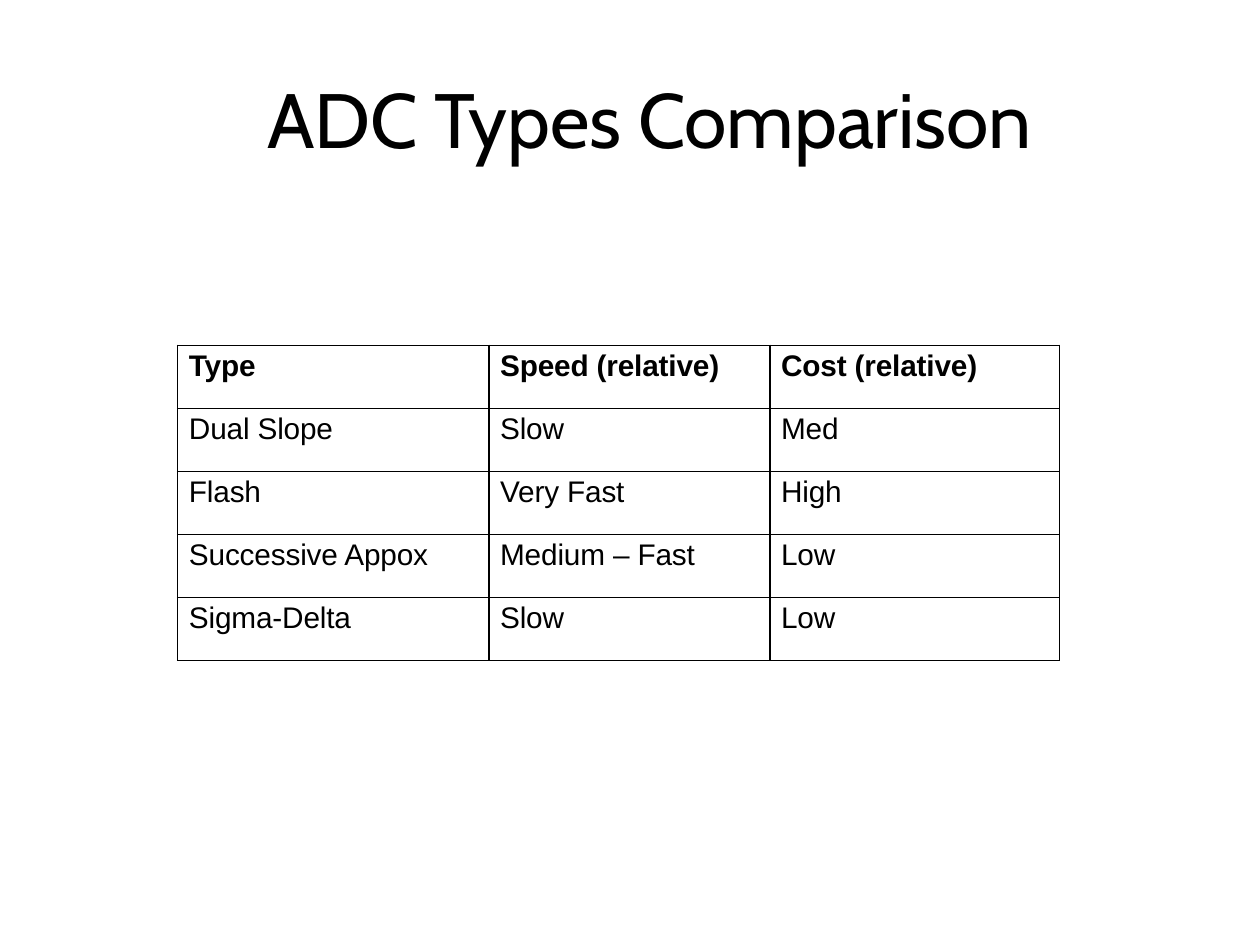
from lxml import etree
from pptx import Presentation
from pptx import util as u
from pptx.dml.color import RGBColor
from pptx.enum import text
from pptx.oxml import ns

BLACK = RGBColor(0, 0, 0)
TITLE_FONT = "Cabin"
TABLE_FONT = "Arial"
COLUMN_WIDTHS = (2.47, 2.23, 2.3)
ROW_HEIGHT = 0.5
ROWS = (
    ("Type", "Speed (relative)", "Cost (relative)"),
    ("Dual Slope", "Slow", "Med"),
    ("Flash", "Very Fast", "High"),
    ("Successive Appox", "Medium – Fast", "Low"),
    ("Sigma-Delta", "Slow", "Low"),
)


def format_paragraph(paragraph, font_name, size, space_before, bold=False):
    paragraph.alignment = text.PP_ALIGN.LEFT
    paragraph.space_before = u.Pt(space_before)
    for run in paragraph.runs:
        run.font.name = font_name
        run.font.size = u.Pt(size)
        run.font.bold = bold
        run.font.color.rgb = BLACK
        run.font._element.set("spc", "-10")


def set_title(slide, wording):
    title = slide.shapes.title
    title.left, title.top = u.Inches(0.71), u.Inches(0.56)
    title.width, title.height = u.Inches(8.57), u.Inches(0.69)
    frame = title.text_frame
    frame.text = wording
    frame.margin_left, frame.margin_top = u.Inches(1.41), u.Inches(0.01)
    frame.margin_right = frame.margin_bottom = 0
    frame.vertical_anchor = text.MSO_ANCHOR.TOP
    frame.auto_size = text.MSO_AUTO_SIZE.SHAPE_TO_FIT_TEXT
    format_paragraph(frame.paragraphs[0], TITLE_FONT, 44, 1)


def add_borders(cell):
    properties = cell._tc.get_or_add_tcPr()
    for side in ("a:lnL", "a:lnR", "a:lnT", "a:lnB"):
        line = etree.SubElement(properties, ns.qn(side), w=str(u.Pt(1)))
        fill = etree.SubElement(line, ns.qn("a:solidFill"))
        etree.SubElement(fill, ns.qn("a:srgbClr"), val=str(BLACK))


def fill_cell(cell, wording, bold):
    cell.text_frame.text = wording
    cell.margin_left, cell.margin_top = u.Inches(0.09), u.Inches(0.03)
    cell.margin_right = cell.margin_bottom = 0
    format_paragraph(cell.text_frame.paragraphs[0], TABLE_FONT, 17, 2.3, bold)
    add_borders(cell)
    cell.fill.background()


def add_comparison_table(slide):
    table = slide.shapes.add_table(
        len(ROWS), len(COLUMN_WIDTHS), u.Inches(1.41), u.Inches(2.74),
        u.Inches(sum(COLUMN_WIDTHS)), u.Inches(ROW_HEIGHT * len(ROWS)),
    ).table
    table.first_row = table.horz_banding = False
    for column, width in zip(table.columns, COLUMN_WIDTHS):
        column.width = u.Inches(width)
    for row_index, wordings in enumerate(ROWS):
        for column_index, wording in enumerate(wordings):
            fill_cell(table.cell(row_index, column_index), wording, row_index == 0)


def main():
    presentation = Presentation()
    presentation.slide_width = u.Inches(10)
    presentation.slide_height = u.Inches(7.5)
    slide = presentation.slides.add_slide(presentation.slide_layouts[5])
    set_title(slide, "ADC Types Comparison")
    add_comparison_table(slide)
    presentation.save("out.pptx")


if __name__ == "__main__":
    main()
